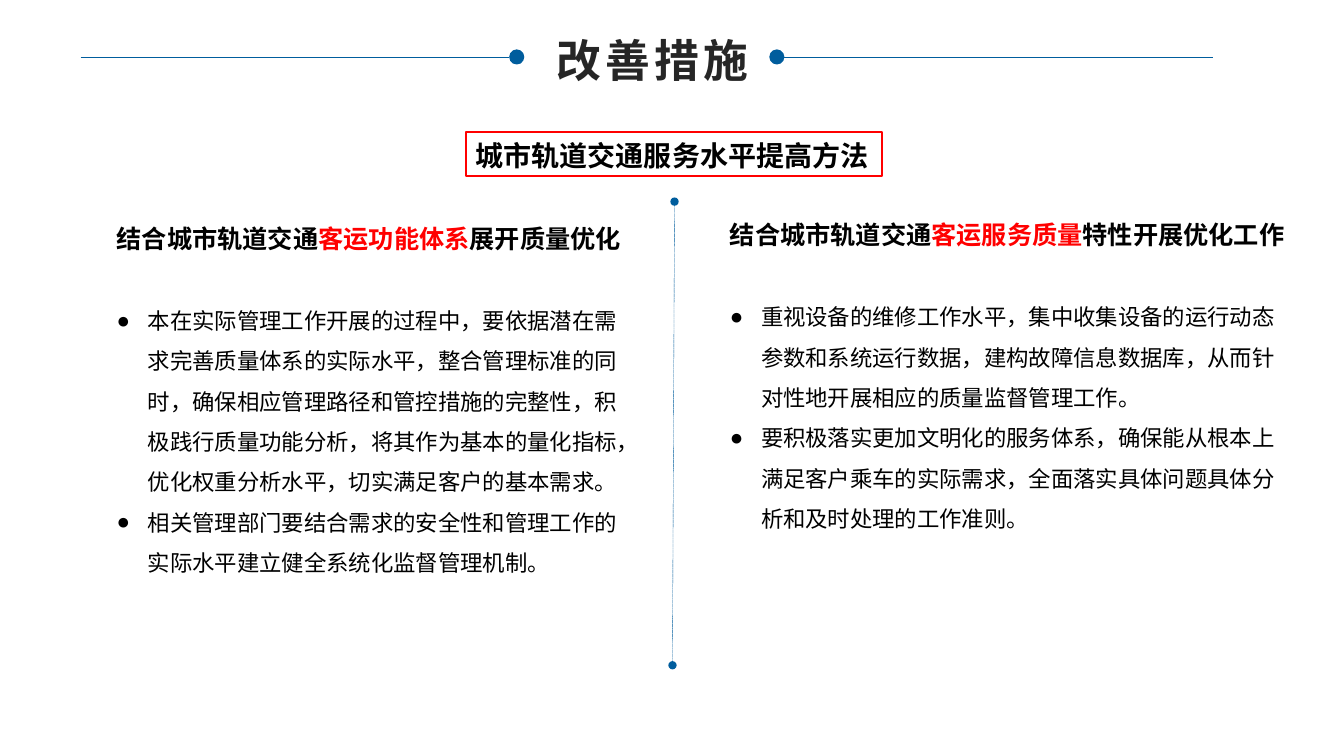
from lxml import etree
from pptx import Presentation
from pptx.dml.color import RGBColor
from pptx.enum.dml import MSO_LINE
from pptx.enum.shapes import MSO_CONNECTOR, MSO_SHAPE
from pptx.enum.text import MSO_AUTO_SIZE, PP_ALIGN
from pptx.oxml.ns import qn
from pptx.util import Inches, Pt

BLUE = RGBColor(0x00, 0x5D, 0x9D)
RED = RGBColor(0xFF, 0x00, 0x00)
BLACK = RGBColor(0x00, 0x00, 0x00)
DARK = RGBColor(0x26, 0x26, 0x26)
CJK = "Noto Sans CJK SC"


def style_span(span, size, color, bold, typeface=CJK):
    span.font.size = Pt(size)
    span.font.bold = bold
    span.font.color.rgb = color
    span.font.name = typeface
    properties = span.font._element
    properties.set("lang", "zh-CN")
    etree.SubElement(properties, qn("a:ea")).set("typeface", CJK)


def add_line(start, end):
    line = page.shapes.add_connector(
        MSO_CONNECTOR.STRAIGHT, *[Inches(value) for value in start + end])
    line.line.color.rgb = BLUE
    line.line.width = Pt(0.25)
    etree.SubElement(line._element.spPr, qn("a:effectLst"))
    return line


deck = Presentation()
deck.slide_width = Inches(13.33)
deck.slide_height = Inches(7.5)
page = deck.slides.add_slide(deck.slide_layouts[6])

columns = [
    (1.06, 2, 5.26, 3.79, 33.5,
     ["结合城市轨道交通", "客运功能体系", "展开质量优化"],
     ["本在实际管理工作开展的过程中，要依据潜在需求完善质量体系的实际水平，整合管理标准的同时，"
      "确保相应管理路径和管控措施的完整性，积极践行质量功能分析，将其作为基本的量化指标，"
      "优化权重分析水平，切实满足客户的基本需求。",
      "相关管理部门要结合需求的安全性和管理工作的实际水平建立健全系统化监督管理机制。"]),
    (7.14, 2.1, 5.8, 3.23, 23.6,
     ["结合城市轨道交通", "客运服务质量", "特性开展优化工作"],
     ["重视设备的维修工作水平，集中收集设备的运行动态参数和系统运行数据，建构故障信息数据库，"
      "从而针对性地开展相应的质量监督管理工作。",
      "要积极落实更加文明化的服务体系，确保能从根本上满足客户乘车的实际需求，"
      "全面落实具体问题具体分析和及时处理的工作准则。"]),
]
for left, top, width, height, heading_spacing, heading, points in columns:
    box = page.shapes.add_textbox(
        Inches(left), Inches(top), Inches(width), Inches(height))
    frame = box.text_frame
    frame.word_wrap = True
    frame.auto_size = MSO_AUTO_SIZE.SHAPE_TO_FIT_TEXT
    para = frame.paragraphs[0]
    para.line_spacing = Pt(heading_spacing)
    for words, color in zip(heading, [BLACK, RED, BLACK]):
        span = para.add_run()
        span.text = words
        style_span(span, 18, color, True)
    for index, point in enumerate(points):
        para = frame.add_paragraph()
        para.text = point
        para.line_spacing = Pt(28.8)
        para.space_before = Pt(0 if index else 28.8)
        layout = para._p.get_or_add_pPr()
        layout.set("marL", str(Inches(0.31)))
        layout.set("indent", str(-Inches(0.31)))
        etree.SubElement(layout, qn("a:buFont")).set("typeface", "Arial")
        etree.SubElement(layout, qn("a:buChar")).set("char", "●")
        style_span(para.runs[0], 16, BLACK, False)

divider = add_line((6.69, 2), (6.67, 6.6))
divider.line.dash_style = MSO_LINE.SQUARE_DOT
for tag in ("a:headEnd", "a:tailEnd"):
    etree.SubElement(divider.line._get_or_add_ln(), qn(tag)).set("type", "oval")

title = page.shapes.add_textbox(
    Inches(5.39), Inches(0.25), Inches(2.17), Inches(0.64))
title.text_frame.word_wrap = False
para = title.text_frame.paragraphs[0]
para.text = "改善措施"
para.alignment = PP_ALIGN.CENTER
para.line_spacing = Pt(40)
style_span(para.runs[0], 32, DARK, True, "Arial")
para.runs[0].font._element.set("spc", "300")

for outer, inner, dot_left in [(0.8, 5.05, 5.05), (12.03, 7.78, 7.63)]:
    add_line((outer, 0.57), (inner, 0.57))
    dot = page.shapes.add_shape(
        MSO_SHAPE.OVAL, Inches(dot_left), Inches(0.49), Inches(0.15), Inches(0.15))
    dot.shadow.inherit = False
    dot.fill.solid()
    dot.fill.fore_color.rgb = BLUE
    dot.line.fill.background()

banner = page.shapes.add_shape(
    MSO_SHAPE.RECTANGLE, Inches(4.62), Inches(1.31), Inches(4.13), Inches(0.44))
banner.shadow.inherit = False
banner.fill.background()
banner.line.color.rgb = RED
banner.line.width = Pt(1.5)
banner.text_frame.word_wrap = False
para = banner.text_frame.paragraphs[0]
para.text = "城市轨道交通服务水平提高方法"
para.alignment = PP_ALIGN.LEFT
para.line_spacing = Pt(26)
style_span(para.runs[0], 20, BLACK, True)

deck.save("out.pptx")
